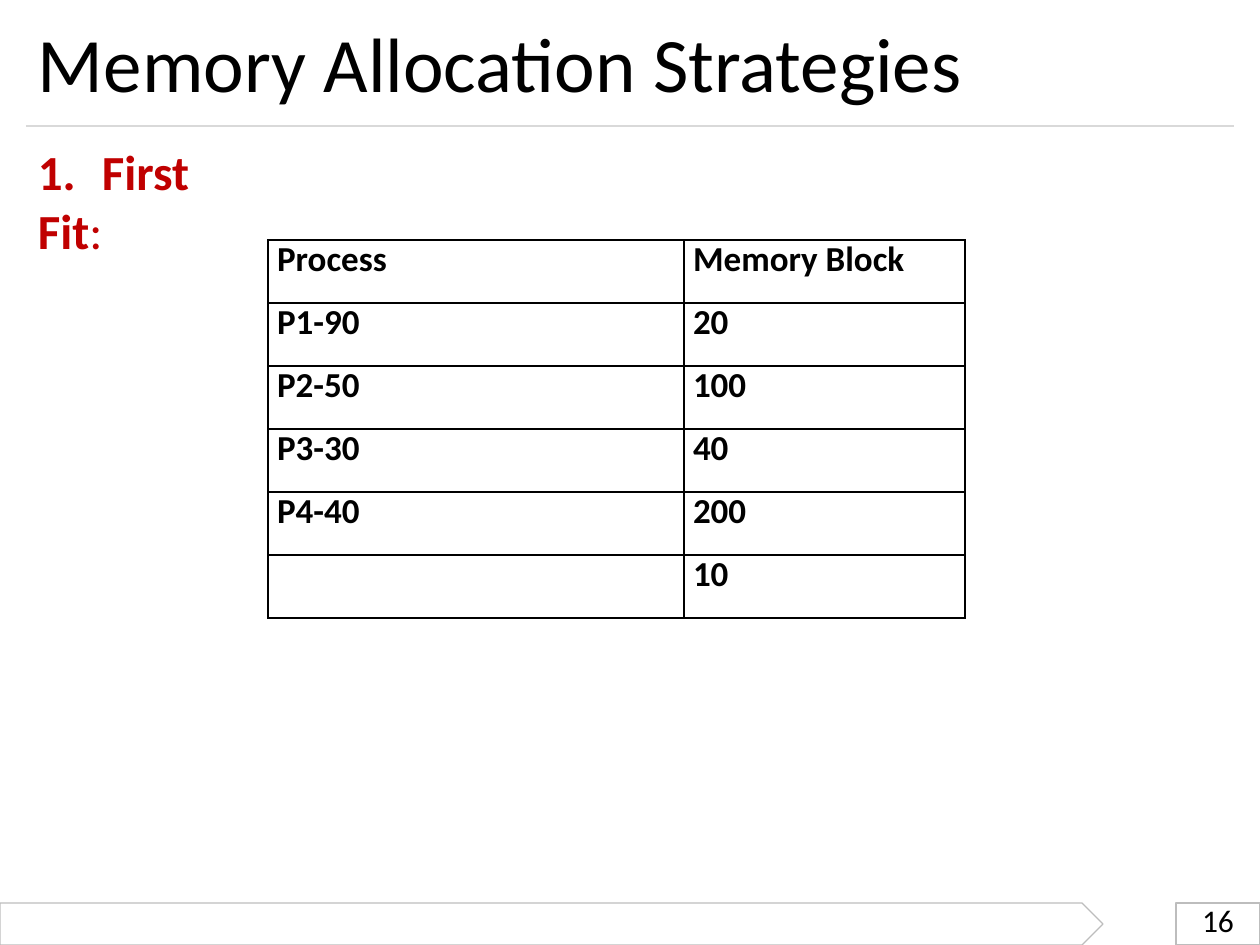
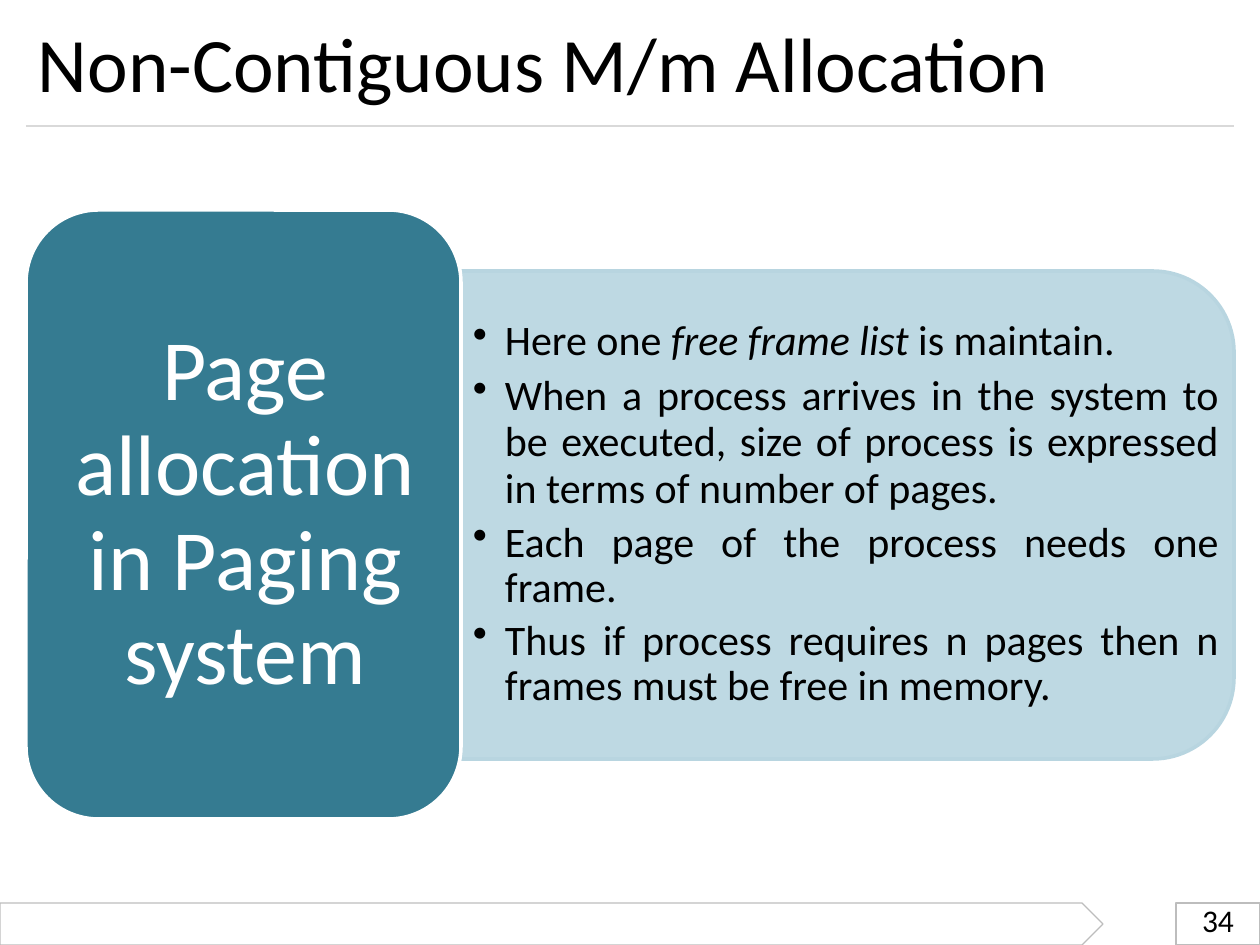
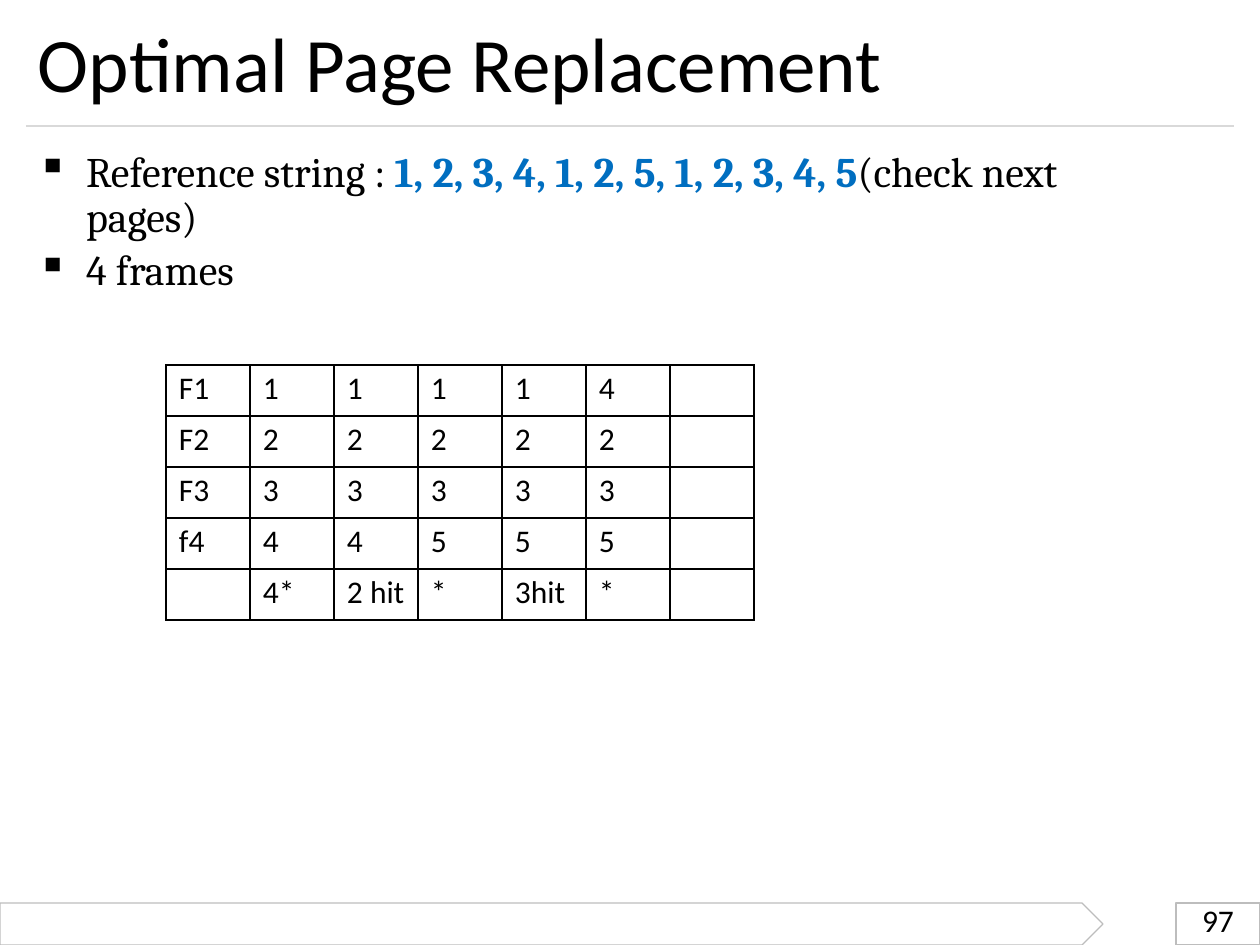
from dataclasses import dataclass

from lxml import etree
from pptx import Presentation
from pptx.dml.color import RGBColor
from pptx.enum.shapes import MSO_CONNECTOR, MSO_SHAPE
from pptx.enum.text import PP_ALIGN
from pptx.oxml.ns import qn
from pptx.util import Emu, Pt

RECT = MSO_SHAPE.RECTANGLE
ARROW_BAND = MSO_SHAPE.PENTAGON
ROUNDED = MSO_SHAPE.ROUNDED_RECTANGLE
ROUND_TOP = MSO_SHAPE.ROUND_2_SAME_RECTANGLE
STRAIGHT = MSO_CONNECTOR.STRAIGHT
LEFT, CENTER, JUSTIFY = PP_ALIGN.LEFT, PP_ALIGN.CENTER, PP_ALIGN.JUSTIFY

EMU_PER_PX = 914400 / 126
SLIDE_W, SLIDE_H = 1260, 945


@dataclass(frozen=True)
class Theme:
    font: str = "Calibri"
    serif: str = "Cambria"
    ink: str = "000000"
    white: str = "FFFFFF"
    heading: str = "C00000"
    accent: str = "006EC0"
    rule: str = "D9D9D9"
    footer: str = "BDBDBD"
    card: str = "357B91"
    panel: str = "B8D5E0"
    title_size: int = 44
    label_size: int = 49
    heading_size: int = 28
    body_size: int = 24
    table_size: int = 20
    small_size: int = 18
    hairline: float = 0.72
    outline: float = 2.04


T = Theme()


def px(n):
    return Emu(round(n * EMU_PER_PX))


def rgb(value):
    return RGBColor.from_string(value)


def add_run(p, text, size=T.body_size, color=T.ink, font=T.font, bold=False, italic=False):
    r = p.add_run()
    r.text = text
    r.font.size = Pt(size)
    r.font.name = font
    r.font.color.rgb = rgb(color)
    r.font.bold = bold
    r.font.italic = italic


def write(p, text, align=LEFT, spacing=None, before=0, bullet=None, indent=0, tab=None, **fmt):
    """Fill a paragraph; text is a string or a list of (string, format changes)."""
    pPr = p._p.get_or_add_pPr()
    if bullet:
        pPr.set("marL", str(px(indent)))
        pPr.set("indent", str(-px(indent)))
        etree.SubElement(pPr, qn("a:buChar"), char=bullet)
    if tab:
        tabs = etree.SubElement(pPr, qn("a:tabLst"))
        etree.SubElement(tabs, qn("a:tab"), pos=str(px(tab)), algn="l")
    p.alignment = align
    if spacing:
        p.line_spacing = spacing
    if before:
        p.space_before = Pt(before)
    for part, changes in [(text, {})] if isinstance(text, str) else text:
        add_run(p, part, **{**fmt, **changes})


def add_text(s, x, y, w, h, paragraphs, left=0, top=0, **common):
    """Add a text box; each paragraph is (text, format changes)."""
    tf = s.shapes.add_textbox(px(x), px(y), px(w), px(h)).text_frame
    tf.word_wrap = True
    tf.margin_left, tf.margin_top = px(left), px(top)
    tf.margin_right = tf.margin_bottom = 0
    for i, (text, changes) in enumerate(paragraphs):
        p = tf.add_paragraph() if i else tf.paragraphs[0]
        write(p, text, **{**common, **changes})


def add_box(s, kind, x, y, w, h, line, width, fill=None):
    sp = s.shapes.add_shape(kind, px(x), px(y), px(w), px(h))
    sp.shadow.inherit = False
    if fill:
        sp.fill.solid()
        sp.fill.fore_color.rgb = rgb(fill)
    else:
        sp.fill.background()
    sp.line.color.rgb = rgb(line)
    sp.line.width = Pt(width)
    return sp


def add_rule(s, x1, x2, y):
    line = s.shapes.add_connector(STRAIGHT, px(x1), px(y), px(x2), px(y))
    line.line.color.rgb = rgb(T.rule)
    line.line.width = Pt(T.hairline)
    etree.SubElement(line._element.spPr, qn("a:effectLst"))


def add_borders(cell):
    tcPr = cell._tc.get_or_add_tcPr()
    for i, side in enumerate(("lnL", "lnR", "lnT", "lnB")):
        ln = etree.Element(qn(f"a:{side}"), w=str(Pt(1)))
        fill = etree.SubElement(ln, qn("a:solidFill"))
        etree.SubElement(fill, qn("a:srgbClr"), val=T.ink)
        tcPr.insert(i, ln)


def add_grid(s, x, y, widths, row_h, rows, left, top=0, **fmt):
    """Add a plain black-bordered table."""
    frame = s.shapes.add_table(len(rows), len(widths), px(x), px(y),
                               px(sum(widths)), px(row_h * len(rows)))
    table = frame.table
    table.first_row = table.horz_banding = False
    for column, width in zip(table.columns, widths):
        column.width = px(width)
    for row, values in zip(table.rows, rows):
        row.height = px(row_h)
        for cell, value in zip(row.cells, values):
            cell.margin_left, cell.margin_top = px(left), px(top)
            cell.margin_right = cell.margin_bottom = 0
            cell.fill.background()
            add_borders(cell)
            if value:
                write(cell.text_frame.paragraphs[0], value, **fmt)


def add_panel(s, x, y, w, h):
    """Add the translucent panel whose right corners are round."""
    sp = add_box(s, ROUND_TOP, x + (w - h) / 2, y + (h - w) / 2, h, w,
                 T.panel, T.outline, T.panel)
    sp.rotation = 90
    color = sp._element.spPr.find(qn("a:solidFill"))[0]
    etree.SubElement(color, qn("a:alpha"), val="90000")


def new_slide(prs, title, number):
    s = prs.slides.add_slide(prs.slide_layouts[6])
    add_box(s, RECT, 1176, 903, 84, 42, T.footer, T.hairline)
    add_rule(s, 26, 1234, 126)
    add_box(s, ARROW_BAND, 0, 903, 1103, 42, T.footer, T.hairline)
    add_text(s, 37, 13, 1186, 96, [(title, {})], left=1, top=3, size=T.title_size)
    add_text(s, 1197, 907, 43, 35, [(str(number), {})], left=5,
             spacing=Pt(18.1), size=T.small_size)
    return s


def first_fit_slide(prs):
    s = new_slide(prs, "Memory Allocation Strategies", 16)
    heading = [("1.\tFirst Fit", {"bold": True}), (":", {})]
    add_text(s, 37, 139, 215, 124, [(heading, {})], left=1, top=3, tab=64,
             size=T.heading_size, color=T.heading)
    rows = [("Process", "Memory Block"), ("P1-90", "20"), ("P2-50", "100"),
            ("P3-30", "40"), ("P4-40", "200"), ("", "10")]
    add_grid(s, 268, 240, (416, 281), 63, rows, left=9, spacing=Pt(23.4),
             size=T.table_size, bold=True)


def paging_slide(prs):
    s = new_slide(prs, "Non-Contiguous M/m Allocation", 34)
    add_panel(s, 461, 271, 773, 488)
    free_list = [("Here one ", {}), ("free frame list", {"italic": True}), (" is maintain.", {})]
    points = [
        (free_list, {}),
        ("When a process arrives in the system to be executed, size of process is "
         "expressed in terms of number of pages.", {"spacing": Pt(26.5), "before": 4.5}),
        ("Each page of the process needs one frame.", {"spacing": Pt(26), "before": 4.9}),
        ("Thus if process requires n pages then n frames must be free in memory.",
         {"spacing": Pt(26), "before": 4}),
    ]
    add_text(s, 473, 304, 746, 401, points, top=10, align=JUSTIFY, bullet="•", indent=32)
    add_box(s, ROUNDED, 26, 210, 435, 609, T.white, T.outline, T.card)
    add_text(s, 74, 305, 342, 391, [("Page allocation in Paging system", {})], top=20,
             align=CENTER, spacing=0.92, size=T.label_size, color=T.white)


def optimal_slide(prs):
    s = new_slide(prs, "Optimal Page Replacement", 97)
    reference = [("Reference string : ", {}),
                 ("1, 2, 3, 4, 1, 2, 5, 1, 2, 3, 4, 5", {"color": T.accent, "bold": True}),
                 ("(check next pages)", {})]
    add_text(s, 37, 135, 1087, 154,
             [(reference, {"spacing": Pt(26)}), ("4 frames", {"before": 1.7})],
             top=15, bullet="▪", indent=49, font=T.serif)
    rows = [("F1", "1", "1", "1", "1", "4", ""),
            ("F2", "2", "2", "2", "2", "2", ""),
            ("F3", "3", "3", "3", "3", "3", ""),
            ("f4", "4", "4", "5", "5", "5", ""),
            ("", "4*", "2 hit", "*", "3hit", "*", "")]
    add_grid(s, 166, 365, [84] * 7, 51, rows, left=13, top=5, size=T.small_size)


def main():
    prs = Presentation()
    prs.slide_width, prs.slide_height = px(SLIDE_W), px(SLIDE_H)
    first_fit_slide(prs)
    paging_slide(prs)
    optimal_slide(prs)
    prs.save("out.pptx")


if __name__ == "__main__":
    main()
